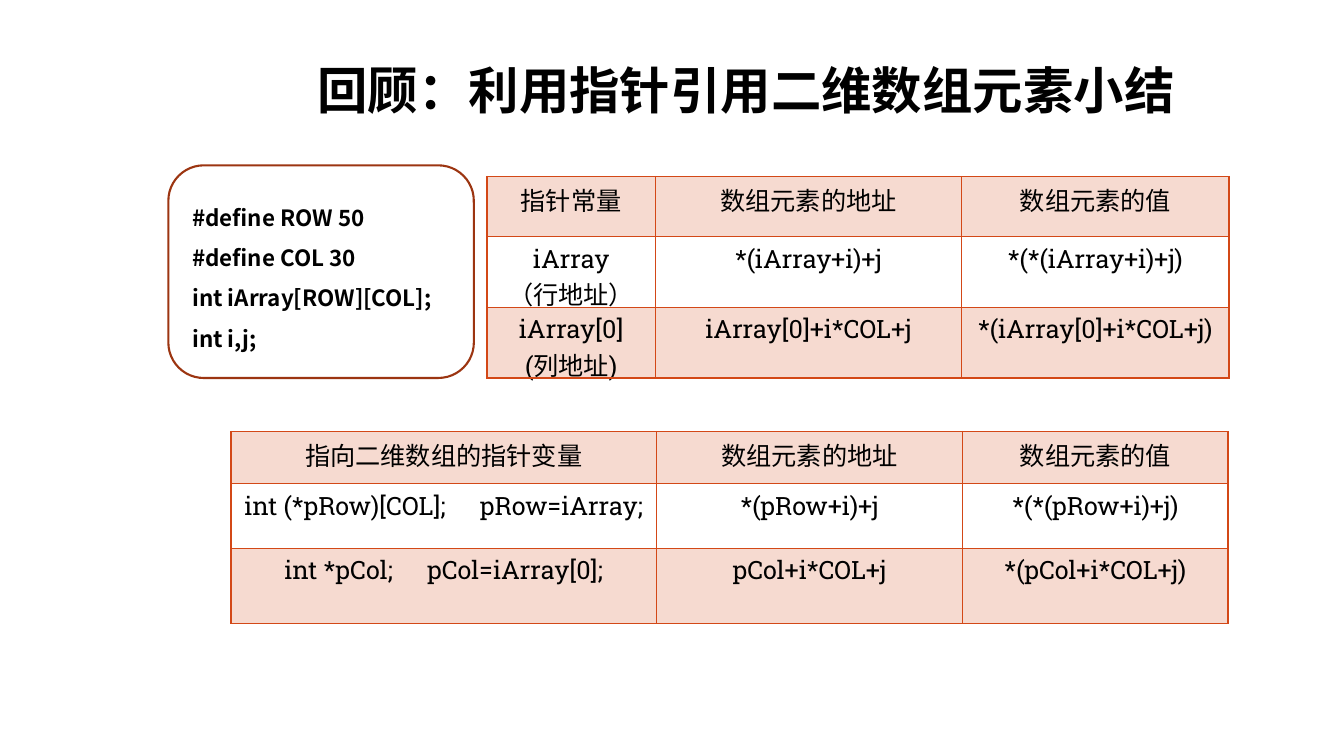
from pptx import Presentation
from pptx.dml.color import RGBColor
from pptx.enum.shapes import MSO_SHAPE as SHAPE
from pptx.enum.text import MSO_AUTO_SIZE as AUTO_SIZE, PP_ALIGN as ALIGN
from pptx.oxml import parse_xml
from pptx.oxml.ns import nsdecls
from pptx.util import Inches, Pt

COLORS = {"text": "000000", "grid": "D34817", "frame": "9C3511"}
SANS, SLAB = "Noto Sans CJK SC", "Roboto Slab"
STATEMENT_GAP = 2000

TITLE = "回顾：利用指针引用二维数组元素小结"
DECLARATIONS = ["#define ROW 50", "#define COL 30", "int iArray[ROW][COL];", "int i,j;"]
SUMMARIES = [
    {
        "place": (2.29, 4.28, 9.89, 1.91),
        "columns": (4.22, 3.04, 2.63),
        "heights": (0.52, 0.64, 0.75),
        "rows": [
            ("指向二维数组的指针变量", "数组元素的地址", "数组元素的值"),
            ("int (*pRow)[COL]; pRow=iArray;", "*(pRow+i)+j", "*(*(pRow+i)+j)"),
            ("int *pCol; pCol=iArray[0];", "pCol+i*COL+j", "*(pCol+i*COL+j)"),
        ],
    },
    {
        "place": (4.83, 1.75, 7.36, 2),
        "columns": (1.67, 3.04, 2.65),
        "heights": (0.6, 0.7, 0.7),
        "rows": [
            ("指针常量", "数组元素的地址", "数组元素的值"),
            ("iArray\n（行地址）", "*(iArray+i)+j", "*(*(iArray+i)+j)"),
            ("iArray[0]\n(列地址)", "iArray[0]+i*COL+j", "*(iArray[0]+i*COL+j)"),
        ],
    },
]


def color(name):
    return RGBColor.from_string(COLORS[name])


def set_font(paragraph, size, face, bold=False):
    font = paragraph.font
    font.size, font.name, font.bold = Pt(size), face, bold
    font.color.rgb = color("text")
    paragraph._p.pPr.defRPr.append(
        parse_xml(f'<a:ea {nsdecls("a")} typeface="{SANS}"/>'))


def write_statements(paragraph, text):
    first, *others = text.split("; ")
    paragraph.add_run().text = first + (";" if others else "")
    for statement in others:
        gap = paragraph.add_run()
        gap.text = " "
        gap.font._element.set("spc", str(STATEMENT_GAP))
        paragraph.add_run().text = statement


def style_cell(cell, shaded):
    properties = cell._tc.get_or_add_tcPr()
    for side in ("lnL", "lnR", "lnT", "lnB"):
        properties.append(parse_xml(
            f'<a:{side} {nsdecls("a")} w="12700"><a:solidFill>'
            f'<a:srgbClr val="{COLORS["grid"]}"/></a:solidFill></a:{side}>'))
    if shaded:
        cell.fill.solid()
        cell.fill.fore_color.rgb = color("grid")
        tint = properties.find("a:solidFill/a:srgbClr", properties.nsmap)
        tint.append(parse_xml(f'<a:alpha {nsdecls("a")} val="20000"/>'))
    else:
        cell.fill.background()


def add_summary(slide, summary):
    rows = summary["rows"]
    table = slide.shapes.add_table(
        len(rows), len(rows[0]), *map(Inches, summary["place"])).table
    for column, width in zip(table.columns, summary["columns"]):
        column.width = Inches(width)
    for r, (row, height) in enumerate(zip(rows, summary["heights"])):
        table.rows[r].height = Inches(height)
        for c, text in enumerate(row):
            cell = table.cell(r, c)
            style_cell(cell, shaded=r % 2 == 0)
            for i, line in enumerate(text.split("\n")):
                frame = cell.text_frame
                paragraph = frame.add_paragraph() if i else frame.paragraphs[0]
                paragraph.alignment = ALIGN.CENTER
                write_statements(paragraph, line)
                set_font(paragraph, 18, SLAB)


def add_text(slide, place, lines, size, spacing, wrap):
    frame = slide.shapes.add_textbox(*map(Inches, place)).text_frame
    frame.word_wrap = wrap
    frame.auto_size = AUTO_SIZE.SHAPE_TO_FIT_TEXT
    for i, line in enumerate(lines):
        paragraph = frame.add_paragraph() if i else frame.paragraphs[0]
        paragraph.text = line
        paragraph.line_spacing = spacing
        set_font(paragraph, size, SANS, bold=True)


deck = Presentation()
deck.slide_width, deck.slide_height = Inches(13.33), Inches(7.5)
slide = deck.slides.add_slide(deck.slide_layouts[6])

add_text(slide, (3.05, 0.54, 8.78, 0.71), [TITLE], 36, 1.0, False)
for summary in SUMMARIES:
    add_summary(slide, summary)

code_frame = slide.shapes.add_shape(
    SHAPE.ROUNDED_RECTANGLE, *map(Inches, (1.67, 1.64, 3.03, 2.11)))
code_frame.shadow.inherit = False
code_frame.fill.background()
code_frame.line.color.rgb = color("frame")
code_frame.line.width = Pt(1.5)
add_text(slide, (1.81, 1.84, 3.38, 1.67), DECLARATIONS, 16, 1.5, True)

deck.save("out.pptx")
